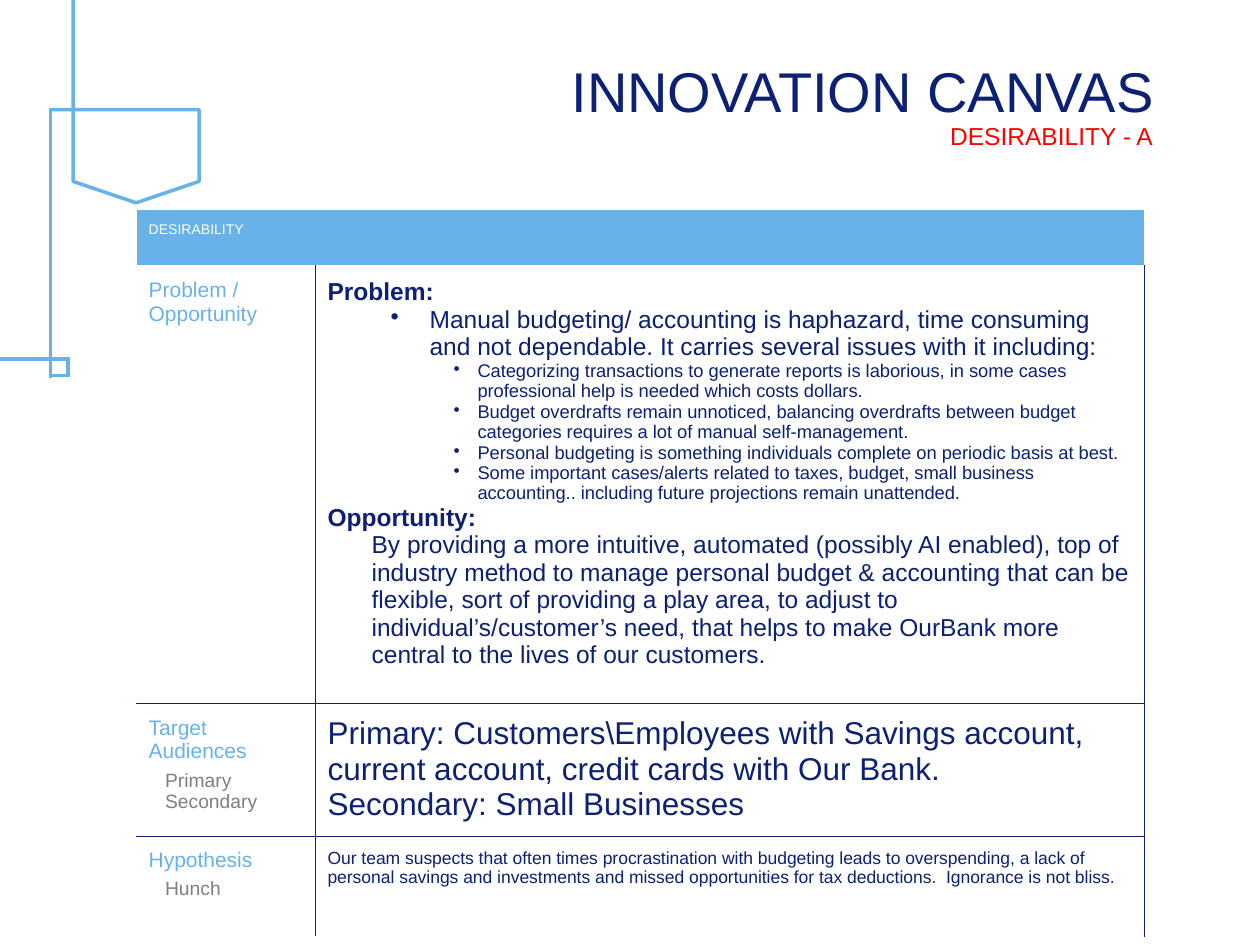
from lxml import etree
from pptx import Presentation
from pptx.dml.color import RGBColor
from pptx.enum.shapes import MSO_CONNECTOR as Conn
from pptx.enum.text import PP_ALIGN as Align
from pptx.oxml import parse_xml
from pptx.oxml.ns import nsdecls, qn
from pptx.util import Inches, Pt

SKY = RGBColor(0x67, 0xB2, 0xE8)
NAVY = RGBColor(0x0C, 0x20, 0x74)
GRAY = RGBColor(0x7F, 0x7F, 0x7F)
RED = RGBColor(0xFF, 0, 0)
WHITE = RGBColor(0xFF, 0xFF, 0xFF)

deck = Presentation()
deck.slide_width, deck.slide_height = Inches(10), Inches(7.5)
slide = deck.slides.add_slide(deck.slide_layouts[6])
shapes = slide.shapes


def write(para, text, size, color, bold=False, indent=0, hang=0, bullet=False, space=1):
    para.text = text
    props = para._p.get_or_add_pPr()
    props.set("marL", str(Inches(indent)))
    props.set("indent", str(-Inches(hang)))
    if space != 1:
        para.line_spacing = space
    if bullet:
        etree.SubElement(props, qn("a:buChar")).set("char", "•")
    font = para.font
    font.name, font.size, font.bold = "Arial", Pt(size), bold
    font.color.rgb = color


def edge(cell, side, color):
    cell._tc.get_or_add_tcPr().append(parse_xml(
        f'<a:ln{side} {nsdecls("a")} w="{Pt(0.5)}"><a:solidFill>'
        f'<a:srgbClr val="{color}"/></a:solidFill></a:ln{side}>'))


# Line art in the corner
for x1, y1, x2, y2 in [(0.4, 0.86, 0.4, 3), (0.55, 2.98, 0.39, 2.98),
                       (0.54, 2.83, 0.54, 2.99), (0.55, 2.85, 0, 2.85)]:
    line = shapes.add_connector(Conn.STRAIGHT, Inches(x1), Inches(y1), Inches(x2), Inches(y2))
    line.line.color.rgb, line.line.width = SKY, Pt(2)
    etree.SubElement(line._element.spPr, qn("a:effectLst"))

pen = shapes.build_freeform(Inches(0.58), Inches(0))
pen.add_line_segments([(Inches(x), Inches(y)) for x, y in [
    (0.58, 1.44), (1.08, 1.61), (1.58, 1.44), (1.58, 0.87), (0.39, 0.87)]], close=False)
flag = pen.convert_to_shape()
flag.shadow.inherit = False
flag.fill.background()
flag.line.color.rgb, flag.line.width = SKY, Pt(2)

# Title
box = shapes.add_textbox(Inches(1.92), Inches(0.4), Inches(7.24), Inches(0.83))
frame = box.text_frame
frame.word_wrap = True
frame.margin_left = frame.margin_right = frame.margin_bottom = 0
frame.margin_top = Inches(0.05)
write(frame.paragraphs[0], "INNOVATION CANVAS", 32, NAVY)
frame.paragraphs[0].alignment = Align.RIGHT

# Canvas table: each paragraph is text, size, colour, options
label = (12, SKY)
head = (14, NAVY, {"bold": True})
main = (14, NAVY, {"indent": 0.81, "hang": 0.31, "bullet": True})
item = (10.5, NAVY, {"indent": 1.19, "hang": 0.19, "bullet": True})
sub = {"indent": 0.13}
rows = [
    (0.45, [("DESIRABILITY", 8, WHITE)], []),
    (3.4, [("Problem /", *label), ("Opportunity", *label)], [
        ("Problem:", *head),
        ("Manual budgeting/ accounting is haphazard, time consuming and not dependable. "
         "It carries several issues with it including:", *main),
        ("Categorizing transactions to generate reports is laborious, in some cases "
         "professional help is needed which costs dollars.", *item),
        ("Budget overdrafts remain unnoticed, balancing overdrafts between budget "
         "categories requires a lot of manual self-management.", *item),
        ("Personal budgeting is something individuals complete on periodic basis at best.", *item),
        ("Some important cases/alerts related to taxes, budget, small business accounting.. "
         "including future projections remain unattended.", *item),
        ("Opportunity:", *head),
        ("By providing a more intuitive, automated (possibly AI enabled), top of industry method "
         "to manage personal budget & accounting that can be flexible, sort of providing a play "
         "area, to adjust to individual’s/customer’s need, that helps to make OurBank more central "
         "to the lives of our customers.", 14, NAVY, {"indent": 0.35})]),
    (1.03, [("Target", *label), ("Audiences", *label),
            ("Primary", 11, GRAY, {**sub, "space": 1.3}), ("Secondary", 11, GRAY, sub)], [
        ("Primary: Customers\\Employees with Savings account, current account, "
         "credit cards with Our Bank.", 18, NAVY),
        ("Secondary: Small Businesses", 18, NAVY)]),
    (0.8, [("Hypothesis", *label), ("Hunch", 11, GRAY, {**sub, "space": 1.3})], [
        ("Our team suspects that often times procrastination with budgeting leads to "
         "overspending, a lack of personal savings and investments and missed opportunities "
         "for tax deductions.  Ignorance is not bliss.", 10, NAVY)]),
]
high = sum(row[0] for row in rows)
table = shapes.add_table(len(rows), 2, Inches(1.08), Inches(1.66), Inches(8), Inches(high)).table
table.first_row = table.horz_banding = False
table.columns[0].width, table.columns[1].width = Inches(1.42), Inches(6.58)
table.cell(0, 0).merge(table.cell(0, 1))
last = len(rows) - 1

for r, (tall, *texts) in enumerate(rows):
    table.rows[r].height = Inches(tall)
    for c, paras in enumerate(texts):
        cell = table.cell(r, c)
        cell.margin_left = cell.margin_right = cell.margin_top = Inches(0.1)
        cell.margin_bottom = Inches(0.05)
        edge(cell, "L", NAVY if r and c else WHITE)
        edge(cell, "R", NAVY if r else WHITE)
        edge(cell, "T", NAVY if r > 1 else WHITE)
        edge(cell, "B", NAVY if 0 < r < last else WHITE)
        cell.fill.solid()
        cell.fill.fore_color.rgb = WHITE if r else SKY
        for n, (text, size, color, *more) in enumerate(paras):
            body = cell.text_frame
            para = body.add_paragraph() if n else body.paragraphs[0]
            write(para, text, size, color, **(more[0] if more else {}))

# Subtitle
box = shapes.add_textbox(Inches(7.33), Inches(0.91), Inches(1.92), Inches(0.34))
box.text_frame.word_wrap = True
write(box.text_frame.paragraphs[0], "DESIRABILITY - A", 14, RED)
box.text_frame.paragraphs[0].alignment = Align.RIGHT

deck.save("out.pptx")
